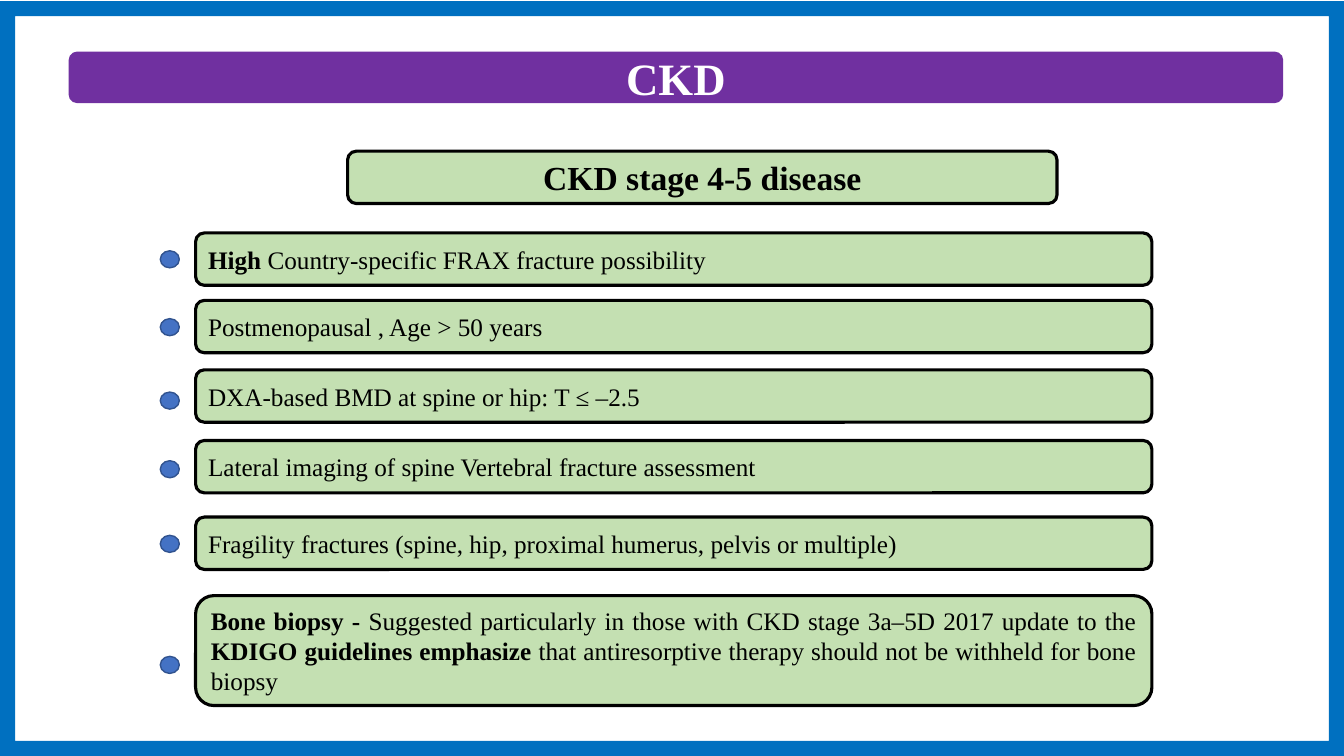
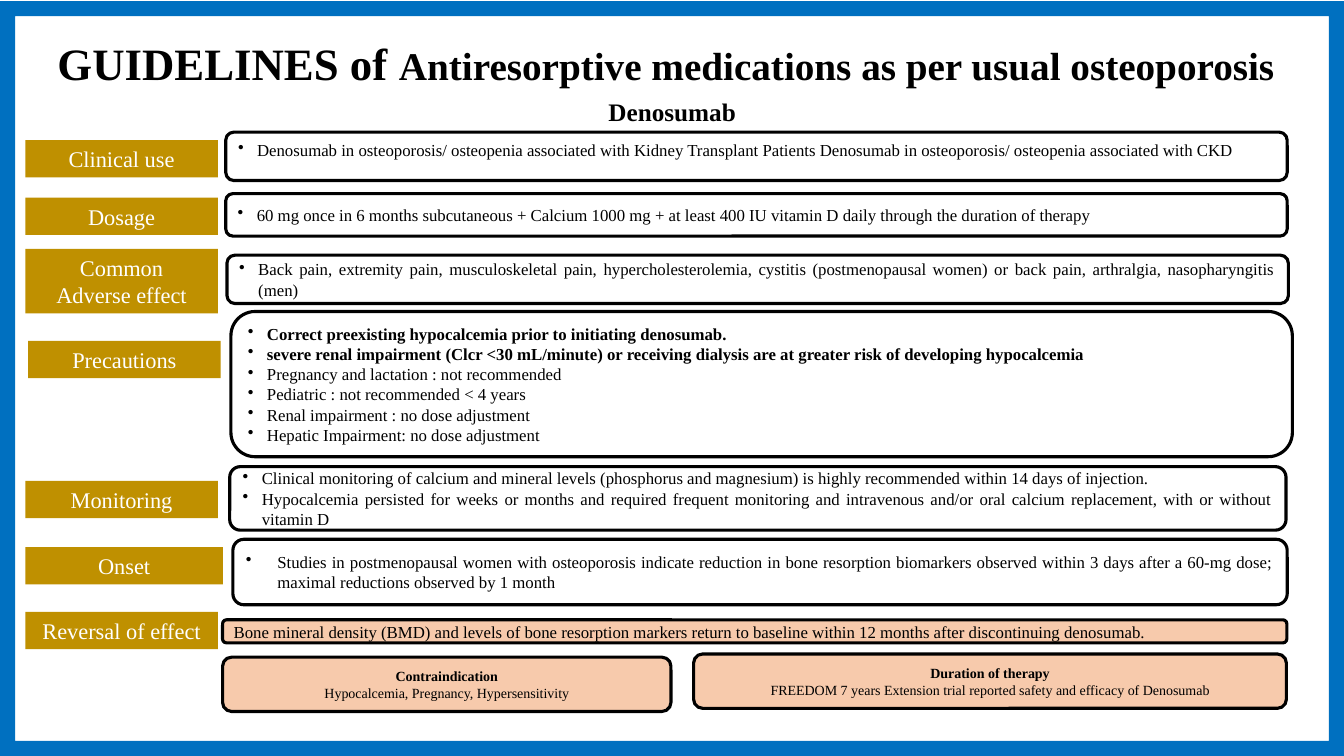
"""Build two slides on bone care in CKD and the use of denosumab."""
from lxml.etree import SubElement as Sub
from pptx import Presentation
from pptx.dml.color import RGBColor as RGB
from pptx.enum.shapes import MSO_SHAPE as Kind
from pptx.enum.text import MSO_ANCHOR as Anchor, PP_ALIGN as Align
from pptx.oxml.ns import qn
from pptx.util import Cm, Pt

BLACK, WHITE, BLUE, PURPLE = "000000", "FFFFFF", "0070C0", "7030A0"
GREEN, GOLD, PEACH = "C4E0B2", "BF9000", "F7CAAC"
DOT, RIM = "4472C4", "31538F"


def draw(page, kind, place, fill=None, line=None, width=2.25):
    """Add a shape at a place given in centimetres."""
    shape = page.shapes.add_shape(kind, *map(Cm, place))
    shape.shadow.inherit = False
    for part, tone in ((shape.fill, fill), (shape.line.fill, line)):
        if tone:
            part.solid()
            part.fore_color.rgb = RGB.from_string(tone)
        else:
            part.background()
    if line:
        shape.line.width = Pt(width)
    return shape


def write(shape, lines, size, tone=BLACK, align=Align.CENTER, indent=0, anchor=Anchor.MIDDLE):
    """Fill a shape with paragraphs; text between asterisks is bold."""
    frame = shape.text_frame
    frame.word_wrap = True
    frame.vertical_anchor = anchor
    for i, text in enumerate(lines):
        para = frame.add_paragraph() if i else frame.paragraphs[0]
        para.alignment = align
        if indent:
            props = para._p.get_or_add_pPr()
            props.set("marL", str(Cm(indent)))
            props.set("indent", str(-Cm(indent)))
            Sub(Sub(props, qn("a:buClr")), qn("a:srgbClr")).set("val", tone)
            Sub(props, qn("a:buChar")).set("char", "•")
        font = para.font
        font.name, font.size = "Times New Roman", Pt(size)
        font.color.rgb = RGB.from_string(tone)
        for j, piece in enumerate(text.split("*")):
            if piece:
                run = para.add_run()
                run.text = piece
                run.font.bold = j % 2 == 1


deck = Presentation()
deck.slide_width, deck.slide_height = Cm(33.87), Cm(19.05)
blank = deck.slide_layouts[6]

page = deck.slides.add_slide(blank)
title = draw(page, Kind.ROUNDED_RECTANGLE, (1.73, 1.3, 30.61, 1.3), PURPLE)
write(title, ["*CKD*"], 32, WHITE)
head = draw(page, Kind.ROUNDED_RECTANGLE, (8.76, 3.81, 17.88, 1.32), GREEN, BLACK)
write(head, ["*CKD stage 4-5 disease*"], 24)

signs = [
    (5.87, 1.32, 6.32, "*High *Country-specific FRAX fracture possibility"),
    (7.57, 1.32, 8.03, "Postmenopausal , Age > 50 years"),
    (9.32, 1.32, 9.88, "DXA-based BMD at spine or hip: T ≤ –2.5"),
    (11.1, 1.32, 11.61, "Lateral imaging of spine Vertebral fracture assessment"),
    (13.03, 1.32, 13.49, "Fragility fractures (spine, hip, proximal humerus, pelvis or multiple)"),
    (15.01, 2.77, 16.54, "*Bone biopsy - *Suggested particularly in those with CKD stage 3a–5D 2017 update "
     "to the *KDIGO guidelines emphasize *that antiresorptive therapy should not be withheld for bone biopsy"),
]
for top, high, mark, text in signs:
    bar = draw(page, Kind.ROUNDED_RECTANGLE, (4.93, top, 24.1, high), GREEN, BLACK)
    write(bar, [text], 18, align=Align.JUSTIFY)
    draw(page, Kind.OVAL, (4.04, mark, 0.48, 0.43), DOT, RIM, 1)

page = deck.slides.add_slide(blank)
title = draw(page, Kind.ROUNDED_RECTANGLE, (0.64, 0.86, 32.28, 1.45))
write(title, ["*GUIDELINES of **Antiresorptive medications as per usual osteoporosis*"], 28)
title.text_frame.paragraphs[0].runs[0].font.size = Pt(32)
drug = page.shapes.add_textbox(Cm(9.04), Cm(2.29), Cm(15.8), Cm(1.02))
write(drug, ["*Denosumab*"], 18)

rows = [
    (["Clinical use"], (0.64, 3.53, 4.85), (5.69, 3.33, 26.75, 1.22), None, 0.48, Anchor.TOP,
     ["Denosumab in osteoporosis/ osteopenia associated with Kidney Transplant Patients "
      "Denosumab in osteoporosis/ osteopenia associated with CKD"]),
    (["Dosage"], (0.64, 4.98, 4.85), (5.69, 4.88, 26.75, 1.07), None, 0.48, Anchor.MIDDLE,
     ["60 mg once in 6 months subcutaneous + Calcium 1000 mg + at least 400 IU vitamin D daily "
      "through the duration of therapy"]),
    (["Common", "Adverse effect"], (0.64, 6.27, 4.85), (5.72, 6.43, 26.75, 1.22), None, 0.48, Anchor.MIDDLE,
     ["Back pain, extremity pain, musculoskeletal pain, hypercholesterolemia, cystitis "
      "(postmenopausal women) or back pain, arthralgia, nasopharyngitis (men)"]),
    (["Precautions"], (0.71, 8.59, 4.85), (5.82, 7.85, 26.75, 3.66), None, 0.48, Anchor.MIDDLE,
     ["*Correct preexisting hypocalcemia prior to initiating denosumab.*",
      "*severe renal impairment (Clcr <30 mL/minute) or receiving dialysis are at greater risk "
      "of developing hypocalcemia*",
      "Pregnancy and lactation : not recommended",
      "Pediatric : not recommended < 4 years",
      "Renal impairment : no dose adjustment",
      "Hepatic Impairment: no dose adjustment"]),
    (["Monitoring"], (0.64, 12.12, 4.85), (5.79, 11.76, 26.62, 1.6), None, 0.48, Anchor.MIDDLE,
     ["Clinical monitoring of calcium and mineral levels (phosphorus and magnesium) is highly "
      "recommended within 14 days of injection.",
      "Hypocalcemia persisted for weeks or months and required frequent monitoring and intravenous "
      "and/or oral calcium replacement, with or without vitamin D"]),
    (["Onset"], (0.64, 13.79, 4.98), (5.87, 13.59, 26.57, 1.65), None, 0.79, Anchor.MIDDLE,
     ["Studies in postmenopausal women with osteoporosis indicate reduction in bone resorption "
      "biomarkers observed within 3 days after a 60-mg dose; maximal reductions observed by 1 month"]),
    (["Reversal of effect"], (0.64, 15.42, 4.85), (5.61, 15.62, 26.82, 0.58), PEACH, 0, Anchor.MIDDLE,
     ["Bone mineral density (BMD) and levels of bone resorption markers return to baseline within "
      "12 months after discontinuing denosumab."]),
]
for name, spot, place, fill, indent, anchor, lines in rows:
    box = draw(page, Kind.ROUNDED_RECTANGLE, place, fill, BLACK)
    write(box, lines, 12, align=Align.JUSTIFY, indent=indent, anchor=anchor)
    tag = draw(page, Kind.RECTANGLE, (*spot, 0.25 + 0.69 * len(name)), GOLD)
    write(tag, name, 16, WHITE)

notes = [
    ((5.61, 16.56, 11.3, 1.37), ["*Contraindication*", "Hypocalcemia, Pregnancy, Hypersensitivity"]),
    ((17.48, 16.48, 14.94, 1.37),
     ["*Duration of therapy*", "FREEDOM 7 years Extension trial reported safety and efficacy of Denosumab"]),
]
for place, lines in notes:
    write(draw(page, Kind.ROUNDED_RECTANGLE, place, PEACH, BLACK), lines, 10)

for page in deck.slides:
    edge = draw(page, Kind.FRAME, (0, 0.03, 33.87, 19.02), BLUE)
    edge.adjustments[0] = 0.02

deck.save("out.pptx")
